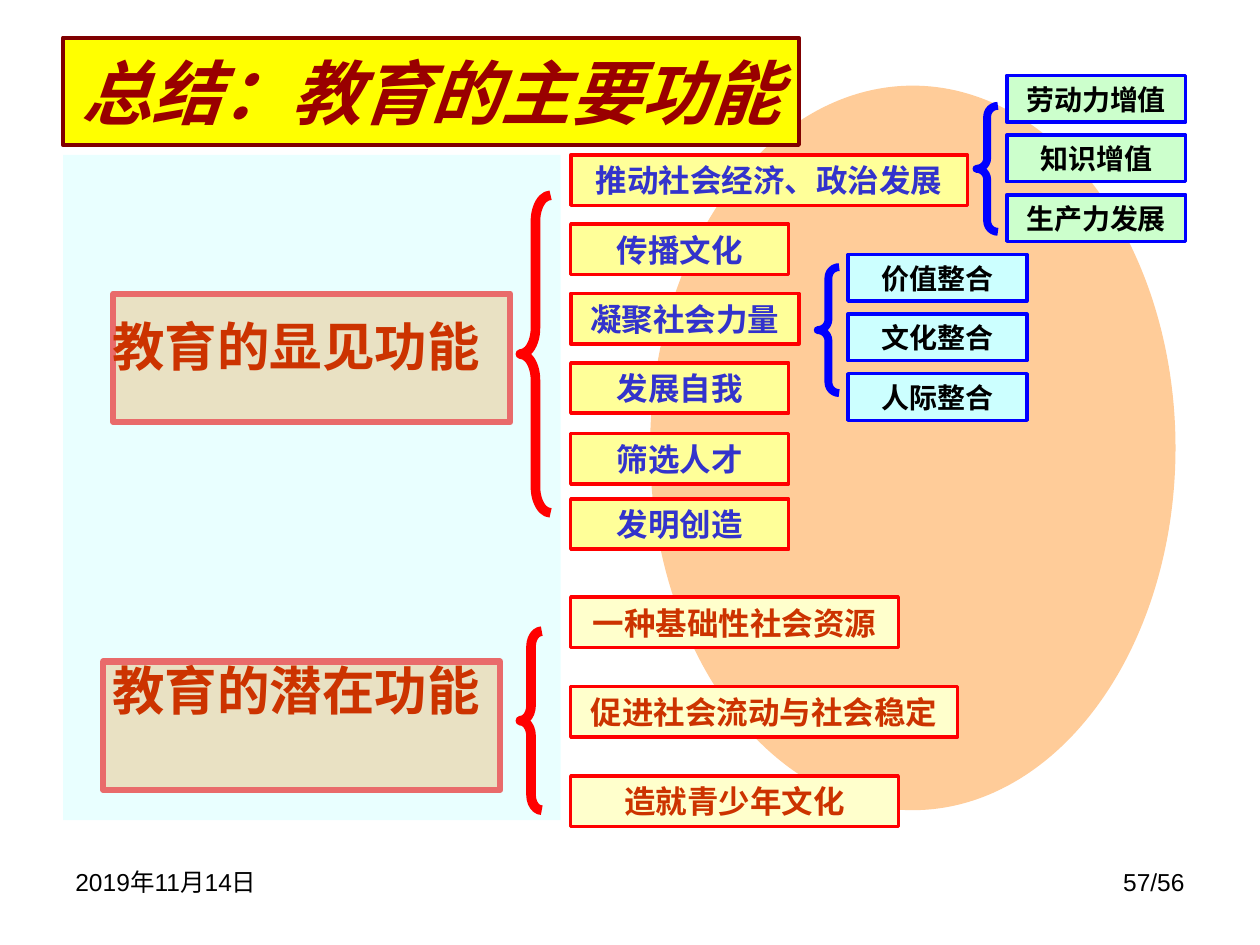
from lxml import etree
from pptx import Presentation
from pptx import util as u
from pptx.dml.color import RGBColor
from pptx.enum import shapes, text
from pptx.oxml.ns import qn

# The slide is a grid of 100 columns by 75 rows; all places are in grid units.
WIDTH, HEIGHT = u.Inches(10), u.Inches(7.5)
COLUMN, ROW = WIDTH / 100, HEIGHT / 75

CJK, LATIN = "Noto Sans CJK SC", "Arial"
BLACK = RGBColor(0x00, 0x00, 0x00)
RED = RGBColor(0xFF, 0x00, 0x00)
BLUE = RGBColor(0x00, 0x00, 0xFF)
INDIGO = RGBColor(0x33, 0x33, 0xCC)
RUST = RGBColor(0xCC, 0x33, 0x00)
CRIMSON = RGBColor(0x99, 0x00, 0x00)
MAROON = RGBColor(0x80, 0x00, 0x00)
PEACH = RGBColor(0xFF, 0xCC, 0x99)
YELLOW = RGBColor(0xFF, 0xFF, 0x00)
LEMON = RGBColor(0xFF, 0xFF, 0x99)
CREAM = RGBColor(0xFF, 0xFF, 0xCC)
MINT = RGBColor(0xCC, 0xFF, 0xCC)
CYAN = RGBColor(0xCC, 0xFF, 0xFF)

LABEL_LEFT, LABEL_HEIGHT = 45.3, 4
EXPLICIT_LABELS = [
    (12.3, 31.5, "推动社会经济、政治发展"),
    (17.8, 17.3, "传播文化"),
    (23.3, 18.1, "凝聚社会力量"),
    (28.8, 17.3, "发展自我"),
    (34.4, 17.3, "筛选人才"),
    (39.6, 17.3, "发明创造"),
]
LATENT_LABELS = [
    (47.4, 26, "一种基础性社会资源"),
    (54.5, 30.7, "促进社会流动与社会稳定"),
    (61.6, 26, "造就青少年文化"),
]
DETAIL_WIDTH, DETAIL_HEIGHT, DETAIL_STEP = 14.2, 3.7, 4.73


def place(left, top, width, height):
    return (round(left * COLUMN), round(top * ROW),
            round(width * COLUMN), round(height * ROW))


def add_shape(page, kind, area, fill=None, line=None, weight=0):
    shape = page.shapes.add_shape(kind, *place(*area))
    shape.shadow.inherit = False
    if fill is None:
        shape.fill.background()
    else:
        shape.fill.solid()
        shape.fill.fore_color.rgb = fill
    if line is None:
        shape.line.fill.background()
    else:
        shape.line.color.rgb = line
        shape.line.width = u.Pt(weight)
    return shape


def write(para, words, *, size, color=BLACK, font=CJK, bold=False,
          italic=False, align=text.PP_ALIGN.CENTER, before=0):
    para.alignment = align
    para.space_before = u.Pt(before)
    span = para.add_run()
    span.text = words
    span.font.size = u.Pt(size)
    span.font.name = font
    span.font.bold = bold
    span.font.italic = italic
    span.font.color.rgb = color
    east_asian = etree.SubElement(span.font._element, qn("a:ea"))
    east_asian.set("typeface", CJK)


def add_label(page, area, words, *, fill, line, weight=2, **style):
    """Draw a bordered box with one line of bold text in its middle."""
    box = add_shape(page, shapes.MSO_SHAPE.RECTANGLE, area, fill, line, weight)
    frame = box.text_frame
    frame.word_wrap = True
    frame.margin_top = frame.margin_bottom = 0
    frame.vertical_anchor = text.MSO_ANCHOR.MIDDLE
    write(frame.paragraphs[0], words, bold=True, **style)


def add_labels(page, labels, **style):
    for top, width, words in labels:
        add_label(page, (LABEL_LEFT, top, width, LABEL_HEIGHT), words,
                  line=RED, size=18, **style)


def add_details(page, left, top, fill, items):
    for row, words in enumerate(items):
        area = (left, top + row * DETAIL_STEP, DETAIL_WIDTH, DETAIL_HEIGHT)
        add_label(page, area, words, fill=fill, line=BLUE, size=16)


def add_brace(page, area, color, weight, curve):
    brace = add_shape(page, shapes.MSO_SHAPE.LEFT_BRACE, area,
                      line=color, weight=weight)
    brace.adjustments[0] = curve
    brace.adjustments[1] = 0.5


def add_panel(page):
    """Draw the see-through panel that carries both headings."""
    panel = add_shape(page, shapes.MSO_SHAPE.RECTANGLE, (5, 12.3, 39.5, 52.8), CYAN)
    tint = panel.fill._xPr.find(qn("a:solidFill"))[0]
    etree.SubElement(tint, qn("a:alpha")).set("val", "42000")
    frame = panel.text_frame
    frame.word_wrap = True
    frame.vertical_anchor = text.MSO_ANCHOR.TOP
    frame.margin_left, frame.margin_top = round(3.9 * COLUMN), round(12.6 * ROW)
    style = dict(size=30, color=RUST, bold=True, align=text.PP_ALIGN.LEFT)
    write(frame.paragraphs[0], "教育的显见功能", **style)
    write(frame.add_paragraph(), "教育的潜在功能", before=161, **style)


def add_footer(page, left, words, align):
    box = page.shapes.add_textbox(*place(left, 68.3, 23.3, 5.2))
    box.text_frame.word_wrap = True
    write(box.text_frame.paragraphs[0], words, size=14, font=LATIN, align=align)


def main():
    deck = Presentation()
    deck.slide_width, deck.slide_height = WIDTH, HEIGHT
    page = deck.slides.add_slide(deck.slide_layouts[6])

    add_footer(page, 5, "2019年11月14日", text.PP_ALIGN.LEFT)
    add_footer(page, 71.7, "57/56", text.PP_ALIGN.RIGHT)
    add_shape(page, shapes.MSO_SHAPE.OVAL, (51.6, 6.8, 41.7, 57.5), PEACH)
    for left, top in ((8.2, 52.5), (9, 23.3)):
        add_shape(page, shapes.MSO_SHAPE.RECTANGLE, (left, top, 31.5, 10.2),
                  PEACH, RED, 3.5)
    add_label(page, (5, 3, 58.4, 8.5), "总结：教育的主要功能", fill=YELLOW,
              line=MAROON, weight=2.5, size=40, color=CRIMSON, italic=True)
    add_panel(page)

    add_brace(page, (41.3, 15.5, 2.4, 25.2), RED, 5.5, 0.86)
    add_labels(page, EXPLICIT_LABELS, fill=LEMON, color=INDIGO)
    add_brace(page, (77.5, 8.4, 1.7, 10), BLUE, 4.5, 0.5)
    add_details(page, 79.9, 6, MINT, ["劳动力增值", "知识增值", "生产力发展"])
    add_brace(page, (64.9, 21.2, 1.7, 10), BLUE, 4.5, 0.5)
    add_details(page, 67.3, 20.2, CYAN, ["价值整合", "文化整合", "人际整合"])
    add_brace(page, (41.3, 50.1, 1.7, 14.2), RED, 5.5, 0.71)
    add_labels(page, LATENT_LABELS, fill=CREAM, color=RUST)

    deck.save("out.pptx")


if __name__ == "__main__":
    main()
